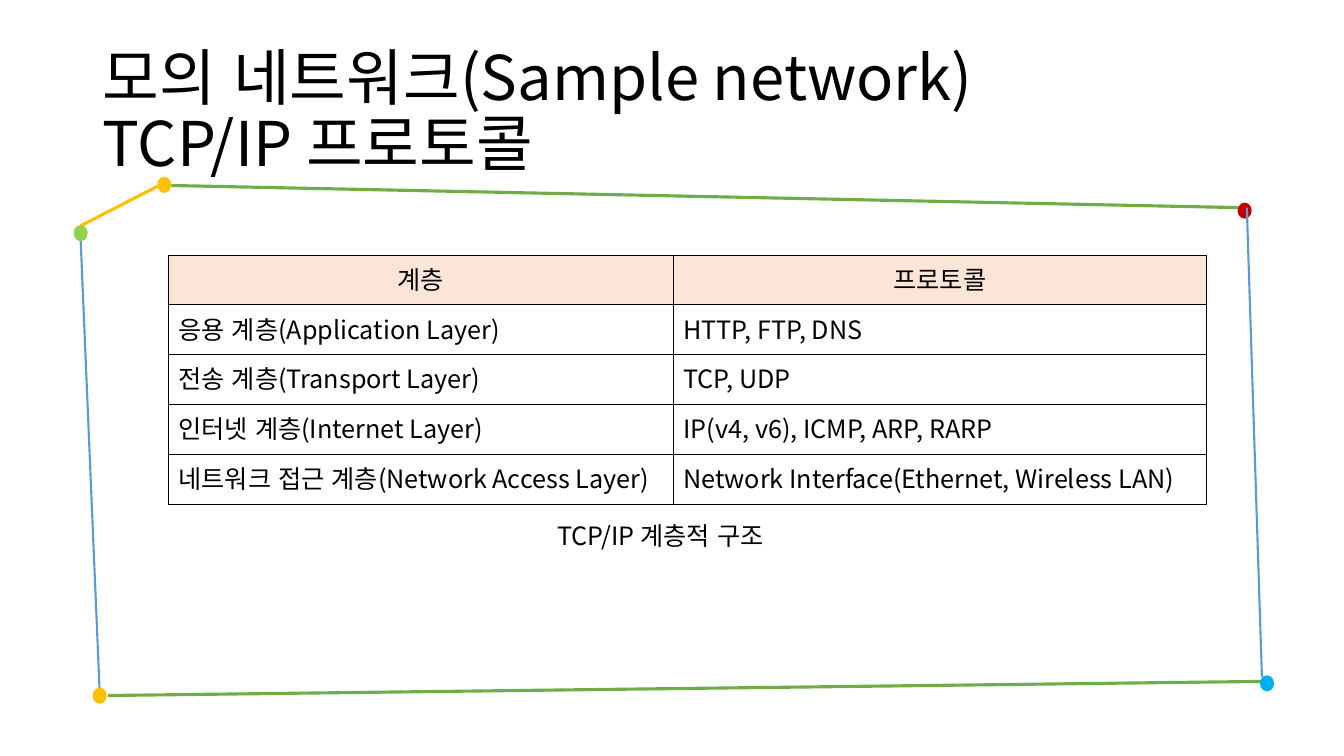
from lxml import etree
from pptx import Presentation
from pptx.dml.color import RGBColor
from pptx.enum import lang, shapes, text
from pptx.oxml import ns
from pptx.util import Pt

FONT = "Noto Sans CJK KR"
COLORS = {
    "black": "000000", "header": "FBE5D6", "amber": "FFC000", "green": "70AD47",
    "lime": "92D050", "blue": "5B9BD5", "sky": "00B0F0", "red": "C00000",
}

# Text boxes: text, (left, top, width, height), size, frame format, paragraph format
TITLE = ("모의 네트워크(Sample network)\vTCP/IP 프로토콜", (66.2, 28.8, 828, 104.4), 44,
         {"word_wrap": True, "vertical_anchor": text.MSO_ANCHOR.MIDDLE}, {"line_spacing": 0.9})
CAPTION = ("TCP/IP 계층적 구조", (391, 368, 171.4, 28.8), 18,
           {"word_wrap": False, "auto_size": text.MSO_AUTO_SIZE.SHAPE_TO_FIT_TEXT}, {})

LAYERS = [
    ("계층", "프로토콜"),
    ("응용 계층(Application Layer)", "HTTP, FTP, DNS"),
    ("전송 계층(Transport Layer)", "TCP, UDP"),
    ("인터넷 계층(Internet Layer)", "IP(v4, v6), ICMP, ARP, RARP"),
    ("네트워크 접근 계층(Network Access Layer)", "Network Interface(Ethernet, Wireless LAN)"),
]
TABLE_LEFT, TABLE_TOP, ROW_HEIGHT = 120.3, 182.2, 35.6
COLUMN_WIDTHS = (360.7, 380.9)

# Frame lines: start, end, color, width
EDGES_BEHIND_DOTS = [
    ((57.6, 161.3), (112.3, 133.2), "amber", 2.25),
    ((122.4, 132.5), (884.2, 148.3), "green", 2.25),
    ((57.6, 171.4), (71.3, 496.8), "blue", 1.5),
    ((77, 496.8), (905, 486.7), "green", 2.25),
]
RIGHT_EDGE = ((890.6, 148.3), (901.4, 483.8), "blue", 1.5)
# Frame corners: left, top, color
DOTS = [
    (112.3, 126.3, "amber"), (52.6, 160.8, "lime"), (66.2, 491.2, "amber"),
    (900, 482.4, "sky"), (884, 144.7, "red"),
]
DOT_SIZE = (10.1, 11.5)


def rgb(name):
    return RGBColor.from_string(COLORS[name])


def apply_format(target, values):
    for name, value in values.items():
        setattr(target, name, value)


def write_text(frame, content, size, paragraph_format):
    frame.text = content
    paragraph = frame.paragraphs[0]
    apply_format(paragraph, paragraph_format)
    for run in paragraph.runs:
        apply_format(run.font, {
            "name": FONT, "size": Pt(size), "language_id": lang.MSO_LANGUAGE_ID.KOREAN})
        run.font.color.rgb = rgb("black")
        etree.SubElement(run._r.get_or_add_rPr(), ns.qn("a:ea"), typeface=FONT)


def add_text(slide, content, box, size, frame_format, paragraph_format):
    frame = slide.shapes.add_textbox(*map(Pt, box)).text_frame
    apply_format(frame, frame_format)
    write_text(frame, content, size, paragraph_format)


def add_borders(cell):
    """Insert the four border lines ahead of the cell's fill, as the schema orders them."""
    properties = cell._tc.get_or_add_tcPr()
    for index, side in enumerate(("lnL", "lnR", "lnT", "lnB")):
        line = etree.Element(ns.qn(f"a:{side}"), w=str(Pt(1)))
        fill = etree.SubElement(line, ns.qn("a:solidFill"))
        etree.SubElement(fill, ns.qn("a:srgbClr"), val=COLORS["black"])
        properties.insert(index, line)


def add_layer_table(slide):
    table = slide.shapes.add_table(
        len(LAYERS), len(COLUMN_WIDTHS), Pt(TABLE_LEFT), Pt(TABLE_TOP),
        Pt(sum(COLUMN_WIDTHS)), Pt(ROW_HEIGHT * len(LAYERS))).table
    apply_format(table, {"first_row": False, "horz_banding": False})
    for column, width in zip(table.columns, COLUMN_WIDTHS):
        column.width = Pt(width)
    for row_index, row in enumerate(LAYERS):
        table.rows[row_index].height = Pt(ROW_HEIGHT)
        is_header = row_index == 0
        alignment = text.PP_ALIGN.CENTER if is_header else text.PP_ALIGN.LEFT
        for column_index, content in enumerate(row):
            cell = table.cell(row_index, column_index)
            write_text(cell.text_frame, content, 18, {"alignment": alignment})
            if is_header:
                cell.fill.solid()
                cell.fill.fore_color.rgb = rgb("header")
            else:
                cell.fill.background()
            add_borders(cell)


def add_edge(slide, start, end, color, width):
    edge = slide.shapes.add_connector(
        shapes.MSO_CONNECTOR.STRAIGHT, *map(Pt, start + end))
    edge.line.color.rgb = rgb(color)
    edge.line.width = Pt(width)
    etree.SubElement(edge._element.spPr, ns.qn("a:effectLst"))


def add_dot(slide, left, top, color):
    dot = slide.shapes.add_shape(
        shapes.MSO_SHAPE.OVAL, *map(Pt, (left, top) + DOT_SIZE))
    dot.shadow.inherit = False
    dot.fill.solid()
    dot.fill.fore_color.rgb = rgb(color)
    dot.line.fill.background()


def main():
    presentation = Presentation()
    apply_format(presentation, {"slide_width": Pt(960), "slide_height": Pt(540)})
    slide = presentation.slides.add_slide(presentation.slide_layouts[6])
    add_text(slide, *TITLE)
    add_layer_table(slide)
    for edge in EDGES_BEHIND_DOTS:
        add_edge(slide, *edge)
    for dot in DOTS:
        add_dot(slide, *dot)
    add_edge(slide, *RIGHT_EDGE)
    add_text(slide, *CAPTION)
    presentation.save("out.pptx")


if __name__ == "__main__":
    main()
